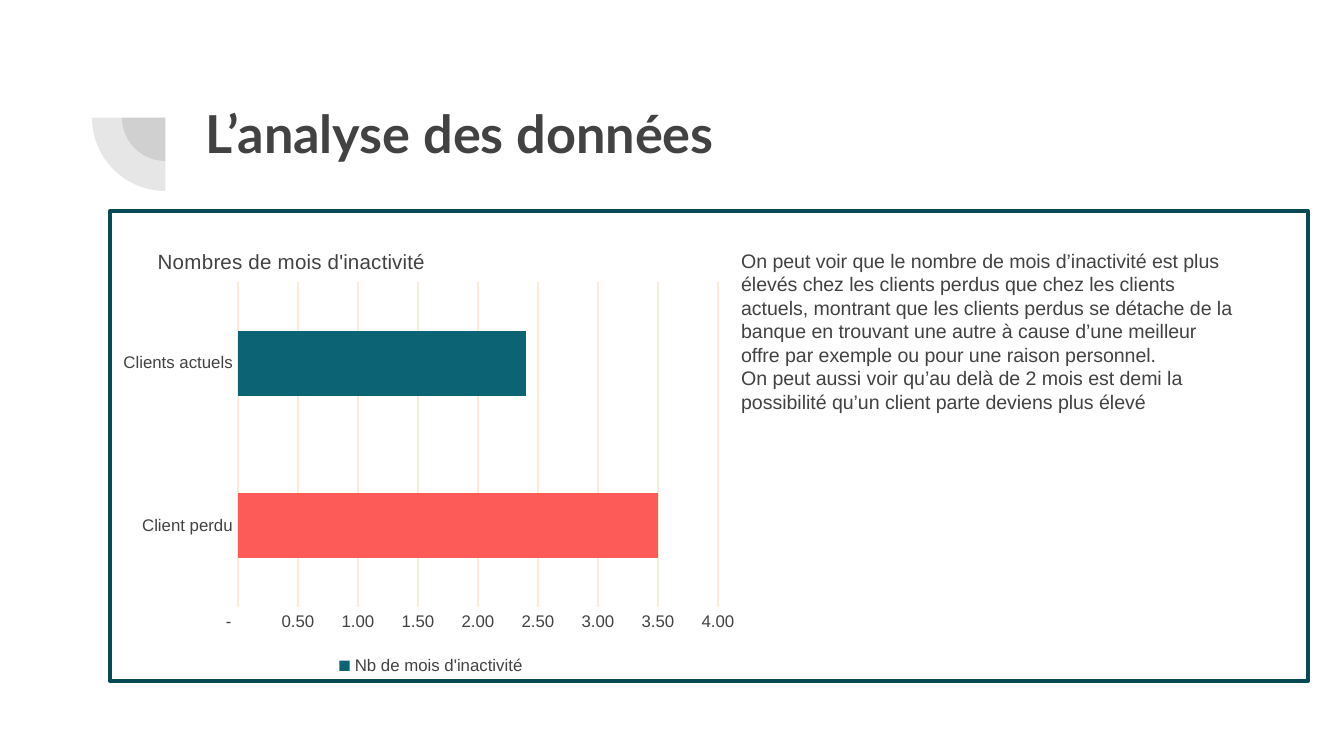
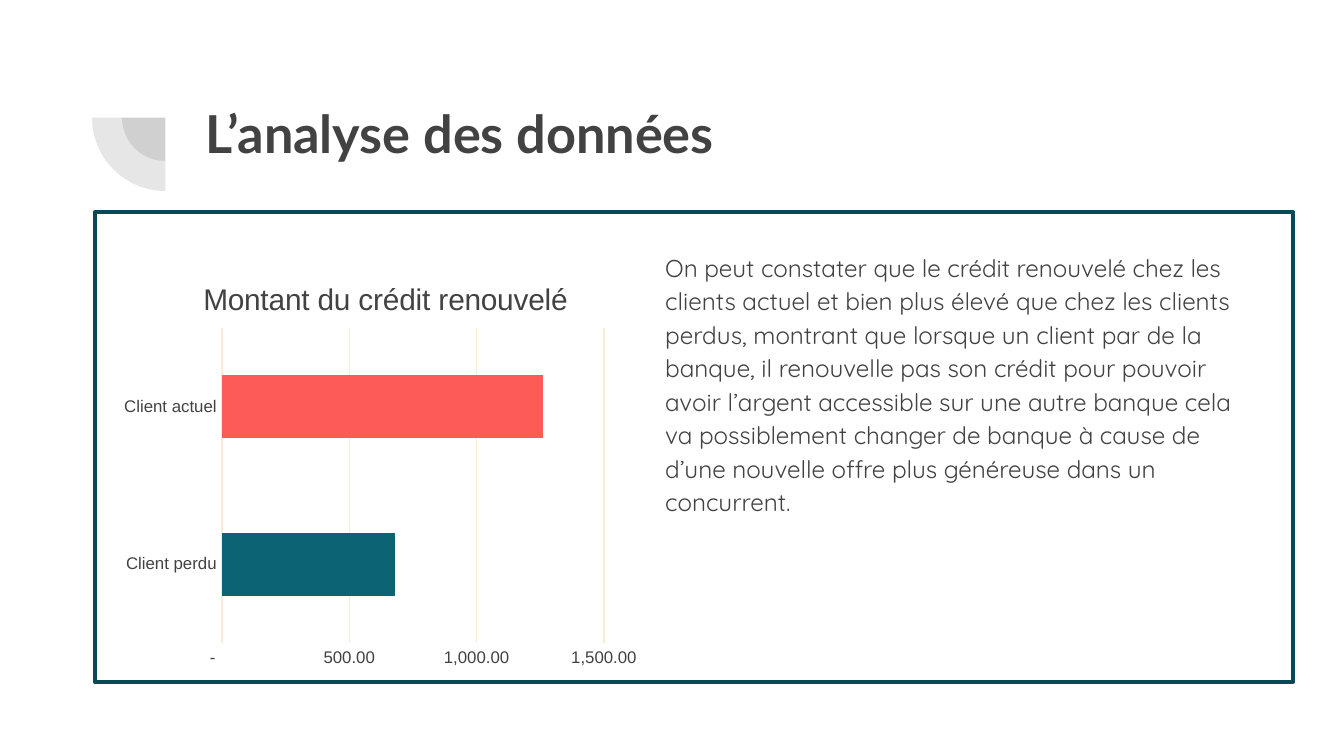
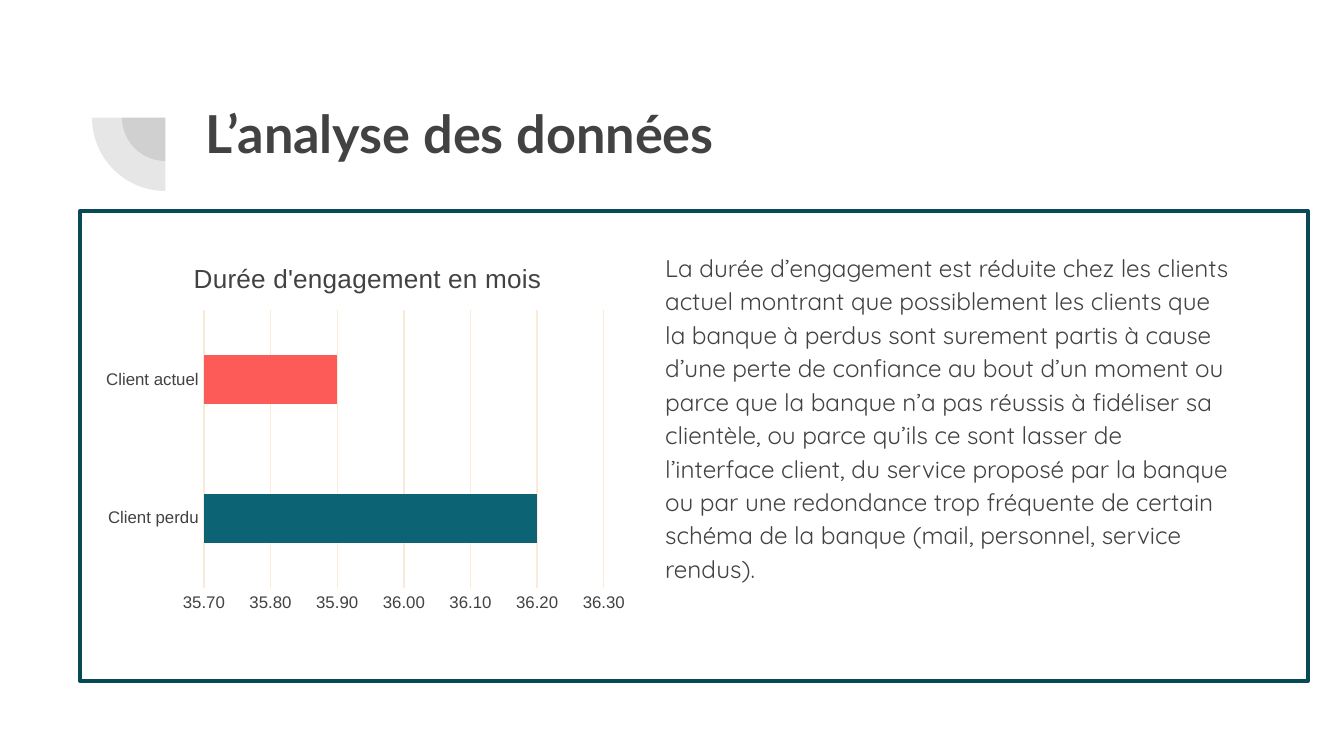
from lxml.etree import SubElement
from pptx import Presentation
from pptx.chart.data import CategoryChartData
from pptx.dml.color import RGBColor
from pptx.enum.chart import XL_CHART_TYPE as ChartType
from pptx.enum.chart import XL_LEGEND_POSITION as LegendPosition
from pptx.enum.chart import XL_TICK_LABEL_POSITION as LabelPosition
from pptx.enum.chart import XL_TICK_MARK as TickMark
from pptx.enum.shapes import MSO_SHAPE as Shape
from pptx.enum.text import MSO_ANCHOR as Anchor
from pptx.enum.text import MSO_AUTO_SIZE as AutoSize
from pptx.enum.text import PP_ALIGN as Align
from pptx.oxml.ns import qn
from pptx.util import Emu, Inches, Pt

PX_PER_INCH = 134.4
INK, TEAL, CORAL = "424242", "0B6374", "FD5B58"
FRAME, GRID, CHART_TEXT = "084956", "FAEBD9", "C0791B"
NUMBER_FORMAT = '_(* #,##0.00_);_(* \\(#,##0.00\\);_(* "-"??_);_(@_)'
TITLE = "L’analyse des données"


def px(length):
    return Emu(round(length * Inches(1) / PX_PER_INCH))


def color(code):
    return RGBColor.from_string(code)


def set_font(font, name, size, code=INK, bold=False):
    font.name, font.size, font.bold = name, Pt(size), bold
    font.color.rgb = color(code)


def set_layout(element, **settings):
    """Give a chart part a manual layout, in fractions of the chart."""
    layout = element.find(qn("c:layout"))
    if layout is None:
        layout = element.makeelement(qn("c:layout"))
        element.insert(0, layout)
    manual = SubElement(layout, qn("c:manualLayout"))
    for key, value in settings.items():
        text = value if isinstance(value, str) else f"{value:.4f}"
        SubElement(manual, qn(f"c:{key}")).set("val", text)


class Deck:
    def __init__(self):
        self.deck = Presentation()
        self.deck.slide_width, self.deck.slide_height = px(1344), px(756)
        self.page = None

    def add_page(self, frame):
        self.page = self.deck.slides.add_slide(self.deck.slide_layouts[5])
        self.quarter_disc(87)
        self.quarter_disc(147)
        self.frame(frame)
        self.title()

    def shape(self, kind, box, fill):
        shape = self.page.shapes.add_shape(kind, *map(px, box))
        shape.shadow.inherit = False
        shape.fill.solid()
        shape.fill.fore_color.rgb = color(fill)
        return shape

    def quarter_disc(self, size):
        left, top = 165.5 - size / 2, 117.5 - size / 2
        disc = self.shape(Shape.PIE, (left, top, size, size), INK)
        disc.adjustments[0], disc.adjustments[1] = 108, 162
        disc.rotation = 270
        disc.line.fill.background()
        tint = disc.fill._xPr.find(f"{qn('a:solidFill')}/{qn('a:srgbClr')}")
        SubElement(tint, qn("a:alpha")).set("val", "13000")

    def frame(self, box):
        frame = self.shape(Shape.RECTANGLE, box, "FFFFFF")
        frame.line.color.rgb = color(FRAME)
        frame.line.width = Pt(2)

    def title(self):
        title = self.page.shapes.title
        title.left, title.top, title.width, title.height = map(px, (192, 88, 1034, 147))
        text = title.text_frame
        text.text = TITLE
        text.margin_left = text.margin_right = Inches(0.1)
        text.margin_top = text.margin_bottom = Inches(0.1)
        text.vertical_anchor = Anchor.TOP
        text.auto_size = AutoSize.NONE
        para = text.paragraphs[0]
        para.alignment = Align.LEFT
        set_font(para.font, "Lato", 28, bold=True)

    def text(self, box, paragraphs, font, size, inset=0.1, spacing=1.0, after=0):
        text = self.page.shapes.add_textbox(*map(px, box)).text_frame
        text.word_wrap = True
        text.margin_top = text.margin_bottom = Inches(inset)
        text.text = "\n".join(paragraphs)
        for para in text.paragraphs:
            para.line_spacing, para.space_after = spacing, Pt(after)
            set_font(para.font, font, size)

    def comment(self, sentence):
        self.text((652, 235, 597, 433), [sentence], "Quicksand", 13, spacing=1.15, after=12)

    def bar_chart(self, box, plot, title, title_at, title_size, series, values,
                  scale, coral, gap=150, legend=False, axis_line=False):
        """Draw a bar chart; plot and title_at are places on the slide."""
        data = CategoryChartData(number_format=NUMBER_FORMAT)
        data.categories = list(values)
        data.add_series(series, list(values.values()))
        chart = self.page.shapes.add_chart(ChartType.BAR_CLUSTERED, *map(px, box), data).chart
        set_font(chart.font, "Arial", 10, CHART_TEXT)
        left, top, width, height = box

        chart.has_title = True
        heading = chart.chart_title.text_frame
        heading.text = title
        set_font(heading.paragraphs[0].font, "Arial", title_size)
        set_layout(chart.chart_title._element, xMode="edge", yMode="edge",
                   x=(title_at[0] - left) / width, y=(title_at[1] - top) / height)
        set_layout(chart._chartSpace.chart.plotArea, layoutTarget="inner",
                   xMode="edge", yMode="edge",
                   x=(plot[0] - left) / width, y=(plot[1] - top) / height,
                   w=plot[2] / width, h=plot[3] / height)

        bars = chart.plots[0]
        bars.gap_width, bars.vary_by_categories = gap, False
        for fill, code in ((bars.series[0].format.fill, TEAL),
                           (bars.series[0].points[coral].format.fill, CORAL)):
            fill.solid()
            fill.fore_color.rgb = color(code)

        for axis in (chart.category_axis, chart.value_axis):
            axis.major_tick_mark = axis.minor_tick_mark = TickMark.NONE
            axis.tick_label_position = LabelPosition.NEXT_TO_AXIS
            axis.format.line.fill.background()
            set_font(axis.tick_labels.font, "Arial", 9)
        if axis_line:
            self.grid_line(chart.category_axis.format.line)
        axis = chart.value_axis
        axis.minimum_scale, axis.maximum_scale, axis.major_unit = scale
        axis.tick_labels.number_format = NUMBER_FORMAT
        axis.tick_labels.number_format_is_linked = False
        axis.has_major_gridlines = True
        self.grid_line(axis.major_gridlines.format.line)

        chart.has_legend = legend
        if legend:
            chart.legend.position = LegendPosition.BOTTOM
            chart.legend.include_in_layout = False
            set_font(chart.legend.font, "Arial", 9)

    def grid_line(self, line):
        line.color.rgb = color(GRID)
        line.width = Pt(0.75)


def inactivity(deck):
    deck.add_page((110, 211, 1198, 470))
    deck.text((728, 242, 522, 180), [
        "On peut voir que le nombre de mois d’inactivité est plus élevés chez les clients "
        "perdus que chez les clients actuels, montrant que les clients perdus se détache de la "
        "banque en trouvant une autre à cause d’une meilleur offre par exemple ou pour une "
        "raison personnel.",
        "On peut aussi voir qu’au delà de 2 mois est demi la possibilité qu’un client parte "
        "deviens plus élevé",
    ], "Arial", 10.5, inset=0.05)
    deck.bar_chart((110, 219, 642, 462), (238, 282, 480, 325),
                   "Nombres de mois d'inactivité", (154, 244), 11,
                   "Nb de mois d'inactivité", {"Client perdu": 3.5, "Clients actuels": 2.4},
                   (0, 4, 0.5), coral=0, legend=True)


def renewed_credit(deck):
    deck.add_page((95, 212, 1198, 470))
    deck.comment(
        "On peut constater que le crédit renouvelé chez les clients actuel et bien plus élevé "
        "que chez les clients perdus, montrant que lorsque un client par de la banque, il "
        "renouvelle pas son crédit pour pouvoir avoir l’argent accessible sur une autre banque "
        "cela va possiblement changer de banque à cause de d’une nouvelle offre plus généreuse "
        "dans un concurrent.")
    deck.bar_chart((114, 258, 538, 419), (222, 328, 382, 315),
                   "Montant du crédit renouvelé", (198, 275), 16,
                   "Series 1", {"Client perdu": 680, "Client actuel": 1260},
                   (0, 1500, 500), coral=1)


def commitment(deck):
    deck.add_page((80, 211, 1228, 470))
    deck.comment(
        "La durée d’engagement est réduite chez les clients actuel montrant que possiblement "
        "les clients que la banque à perdus sont surement partis à cause d’une perte de "
        "confiance au bout d’un moment ou parce que la banque n’a pas réussis à fidéliser sa "
        "clientèle, ou parce qu’ils ce sont lasser de l’interface client, du service proposé "
        "par la banque ou par une redondance trop fréquente de certain schéma de la banque "
        "(mail, personnel, service rendus).")
    heading = "Durée d'engagement en mois"
    deck.bar_chart((95, 242, 546, 376), (204, 310, 400, 278), heading, (189, 257), 14,
                   heading, {"Client perdu": 36.2, "Client actuel": 35.9},
                   (35.7, 36.3, 0.1), coral=1, gap=182, axis_line=True)


def main():
    deck = Deck()
    for build in (inactivity, renewed_credit, commitment):
        build(deck)
    deck.deck.save("out.pptx")


if __name__ == "__main__":
    main()
